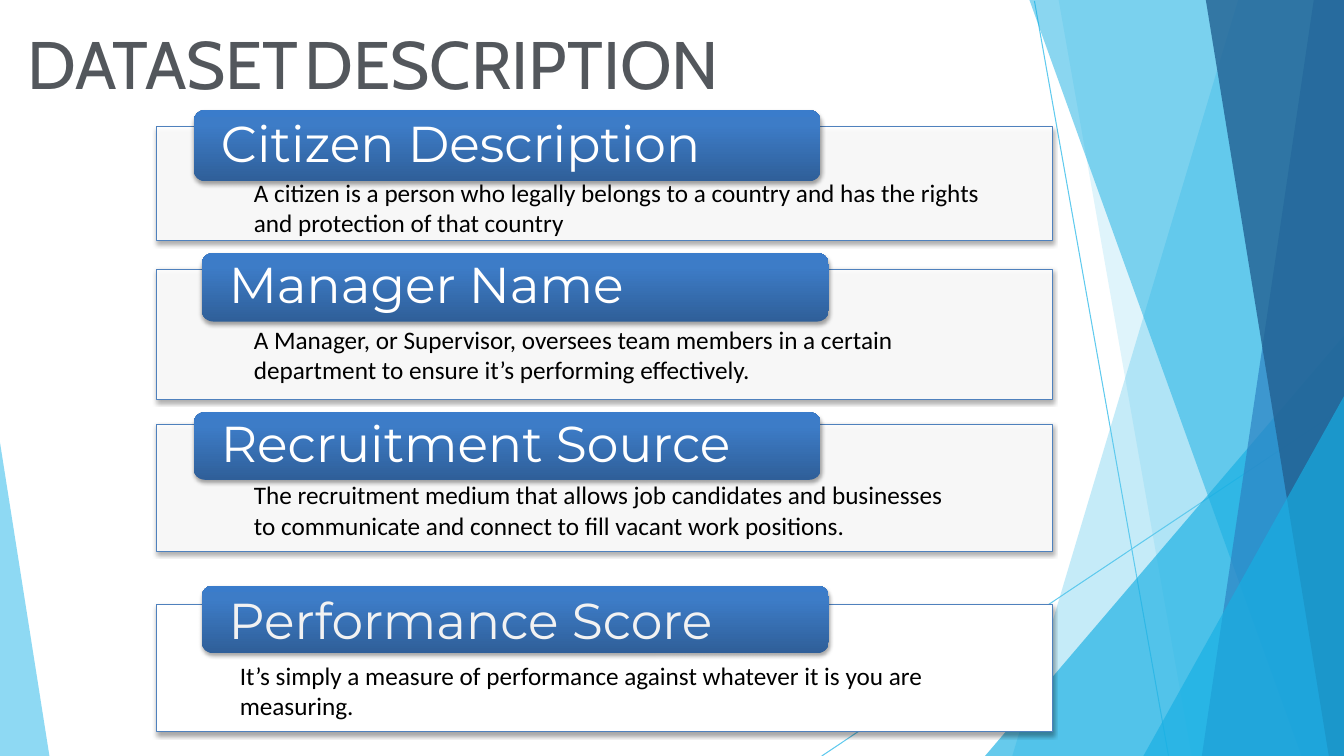
import pptx
import pptx.util
import pptx.oxml
import pptx.oxml.ns
import pptx.dml.color
import pptx.enum.shapes
import pptx.enum.text
from dataclasses import dataclass

Inches = pptx.util.Inches
Pt = pptx.util.Pt
Anchor = pptx.enum.text.MSO_ANCHOR
Fit = pptx.enum.text.MSO_AUTO_SIZE
Shape = pptx.enum.shapes.MSO_SHAPE
qn = pptx.oxml.ns.qn
NS = pptx.oxml.ns.nsdecls("a")
WIDE, HIGH = 13.33, 7.5


@dataclass(frozen=True)
class Theme:
    sky: str = "5FCAEE"
    cyan: str = "17AFE3"
    blue: str = "2D83C3"
    navy: str = "226192"
    white: str = "FFFFFF"
    pale: str = "F2F2F2"
    black: str = "000000"
    slate: str = "53575C"
    edge: str = "4F81BD"
    fade: tuple = ((0, "2F5F99"), (80, "3D7CC7"), (100, "3A7CCB"))
    title: tuple = ("Cabin", 48)
    gap: tuple = ("Cabin", 18)
    label: tuple = ("Montserrat", 36)
    body: tuple = ("Calibri", 18)
    thin: float = 0.75


def rgb(code):
    return pptx.dml.color.RGBColor.from_string(code)


def assign(item, values):
    for name, value in values.items():
        setattr(item, name, value)


GROW = {"word_wrap": True, "auto_size": Fit.SHAPE_TO_FIT_TEXT}
SNUG = {
    "word_wrap": True, "vertical_anchor": Anchor.MIDDLE,
    "margin_left": Inches(0.24), "margin_right": Inches(0.24),
    "margin_top": 0, "margin_bottom": 0,
}


class Board:
    def __init__(self, slide, theme):
        self.shapes = slide.shapes
        self.theme = theme

    def paint(self, shape, color, alpha=100):
        shape.fill.solid()
        shape.fill.fore_color.rgb = rgb(color)
        if alpha < 100:
            tint = shape._element.spPr.find(qn("a:solidFill"))[0]
            tint.append(pptx.oxml.parse_xml(
                f'<a:alpha {NS} val="{alpha * 1000}"/>'))

    def shade(self, shape):
        """Soft shadow straight below the shape."""
        shape.shadow.inherit = False
        shape._element.spPr.find(qn("a:effectLst")).append(pptx.oxml.parse_xml(
            f'<a:outerShdw {NS} blurRad="{Pt(3.1)}" dist="{Pt(1.8)}"'
            ' dir="5400000" rotWithShape="0"><a:srgbClr val="000000">'
            '<a:alpha val="35000"/></a:srgbClr></a:outerShdw>'))

    def line(self, start, end):
        kind = pptx.enum.shapes.MSO_CONNECTOR.STRAIGHT
        line = self.shapes.add_connector(
            kind, *(Inches(n) for n in (*start, *end)))
        assign(line.line, {"width": Pt(self.theme.thin)})
        line.line.color.rgb = rgb(self.theme.sky)
        line._element.spPr.append(
            pptx.oxml.parse_xml(f'<a:effectLst {NS}/>'))

    def facet(self, points, color, alpha):
        first, *rest = [(Inches(x), Inches(y)) for x, y in points]
        pen = self.shapes.build_freeform(*first)
        pen.add_line_segments(rest, close=True)
        shape = pen.convert_to_shape()
        shape.shadow.inherit = False
        shape.line.fill.background()
        self.paint(shape, color, alpha)

    def card(self, box, alpha):
        card = self.shapes.add_shape(Shape.RECTANGLE, *map(Inches, box))
        self.paint(card, self.theme.white, alpha)
        card.line.color.rgb = rgb(self.theme.edge)
        card.line.width = Pt(self.theme.thin)
        self.shade(card)

    def tab(self, box):
        tab = self.shapes.add_shape(
            Shape.ROUNDED_RECTANGLE, *map(Inches, box))
        tab.fill.gradient()
        tab.fill.gradient_angle = 90
        stops = tab._element.spPr.find(qn("a:gradFill")).find(qn("a:gsLst"))
        for stop in list(stops):
            stops.remove(stop)
        for place, color in self.theme.fade:
            stops.append(pptx.oxml.parse_xml(
                f'<a:gs {NS} pos="{place * 1000}">'
                f'<a:srgbClr val="{color}"/></a:gs>'))
        tab.line.fill.background()
        self.shade(tab)

    def text(self, box, parts, color, frame, space=None):
        field = self.shapes.add_textbox(*map(Inches, box)).text_frame
        assign(field, frame)
        para = field.paragraphs[0]
        para.line_spacing = space
        for words, (face, size) in parts:
            run = para.add_run()
            run.text = words
            assign(run.font, {"name": face, "size": Pt(size)})
            run.font.color.rgb = rgb(color)


def main():
    theme = Theme()
    deck = pptx.Presentation()
    assign(deck, {"slide_width": Inches(WIDE), "slide_height": Inches(HIGH)})
    board = Board(deck.slides.add_slide(deck.slide_layouts[6]), theme)

    # Backdrop: two thin lines, then facets at the right and left edges
    board.line((10.26, 0.01), (11.59, HIGH))
    board.line((WIDE, 4.04), (8.15, HIGH))
    bands = [  # top x, top y, foot x, color, alpha
        (12.28, 0, 10.04, theme.sky, 36),
        (10.5, 0, 11.82, theme.sky, 20),
        (WIDE, 3.33, 9.77, theme.cyan, 66),
        (10.21, 0, 12.91, theme.cyan, 50),
        (13.03, 0, 11.92, theme.blue, 70),
        (11.96, 0, 13.18, theme.navy, 80),
        (WIDE, 3.93, 11.34, theme.cyan, 66),
    ]
    for top, y, foot, color, alpha in bands:
        points = [(top, y), (foot, HIGH), (WIDE, HIGH)]
        if top < WIDE:
            points.insert(0, (WIDE, y))
        board.facet(points, color, alpha)
    board.facet([(0, 4.39), (0, HIGH), (0.49, HIGH)], theme.sky, 70)

    # Cards: top, height and alpha, tab box, label, body box, body words
    snug = (theme.white, SNUG, 0.9)
    loose = (theme.pale, GROW)
    rows = [
        (1.26, 1.13, 90, (1.92, 1.09, 6.22, 0.71),
         "Citizen Description", (1.95, 1.13, 6.15, 0.64), snug,
         (2.42, 1.71, 7.67, 0.71),
         "A citizen is a person who legally belongs to a country and has "
         "the rights and protection of that country"),
        (2.67, 1.29, 90, (2, 2.51, 6.22, 0.68),
         "Manager Name", (2.03, 2.54, 6.16, 0.61), snug,
         (2.42, 3.17, 6.67, 0.71),
         "A Manager, or Supervisor, oversees team members in a certain "
         "department to ensure it’s performing effectively."),
        (4.21, 1.26, 90, (1.92, 4.09, 6.22, 0.67),
         "Recruitment Source", (1.95, 4.13, 6.16, 0.6), snug,
         (2.42, 4.71, 7.25, 0.71),
         "The recruitment medium that allows job candidates and businesses "
         "to communicate and connect to fill vacant work positions."),
        (6, 1.26, 100, (2, 5.81, 6.22, 0.67),
         "Performance Score", (2.17, 5.79, 6.67, 0.71), loose,
         (2.28, 6.5, 6.97, 0.71),
         "It’s simply a measure of performance against whatever it is you "
         "are measuring."),
    ]
    for top, tall, alpha, tab, label, spot, style, place, body in rows:
        board.card((1.55, top, 8.89, tall), alpha)
        board.tab(tab)
        board.text(spot, [(label, theme.label)], *style)
        board.text(place, [(body, theme.body)], theme.black, GROW)

    # Title
    board.text((0.17, 0.17, 7.75, 0.91),
               [("DATASET", theme.title), (" ", theme.gap),
                ("DESCRIPTION", theme.title)], theme.slate, GROW)

    deck.save("out.pptx")


if __name__ == "__main__":
    main()
